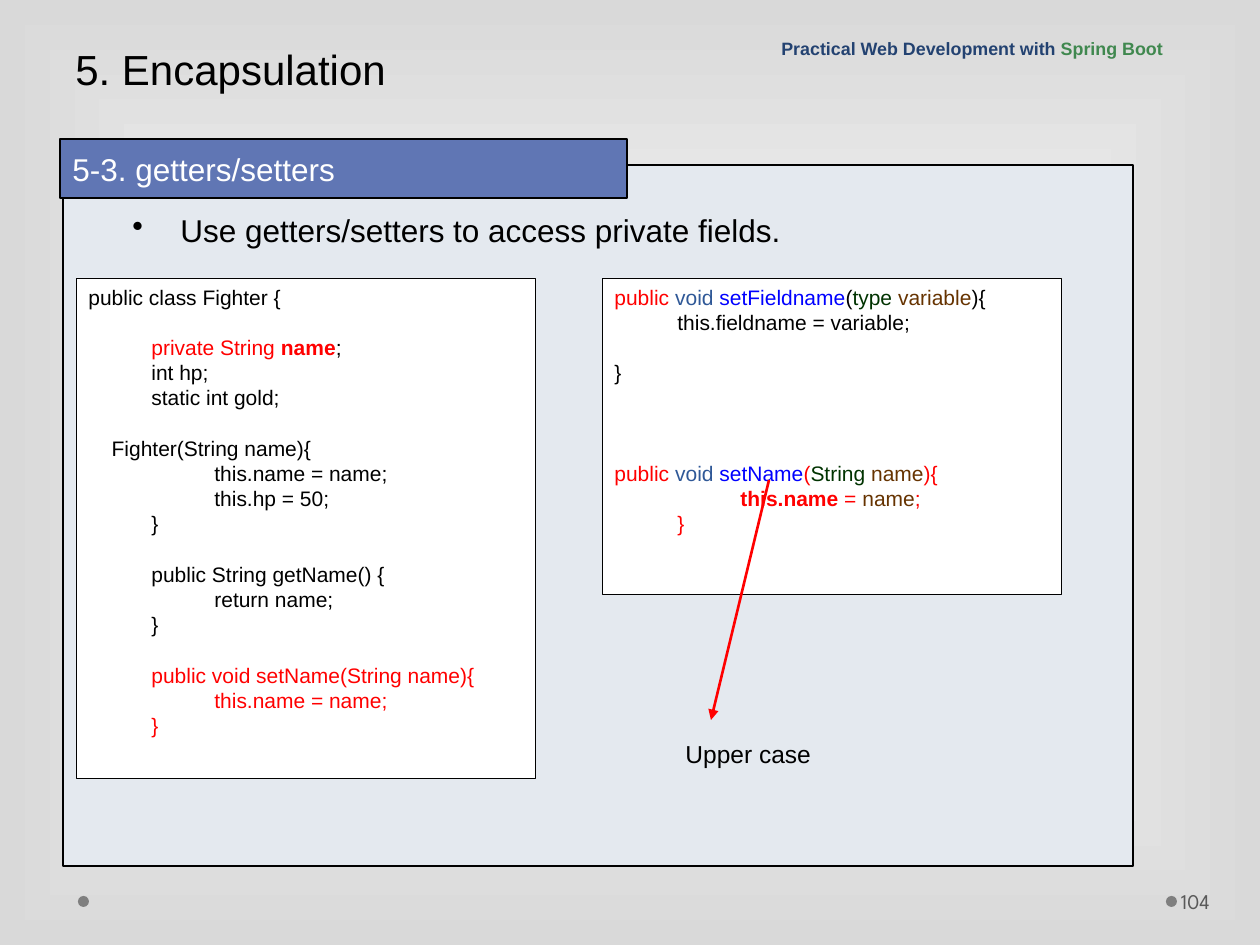
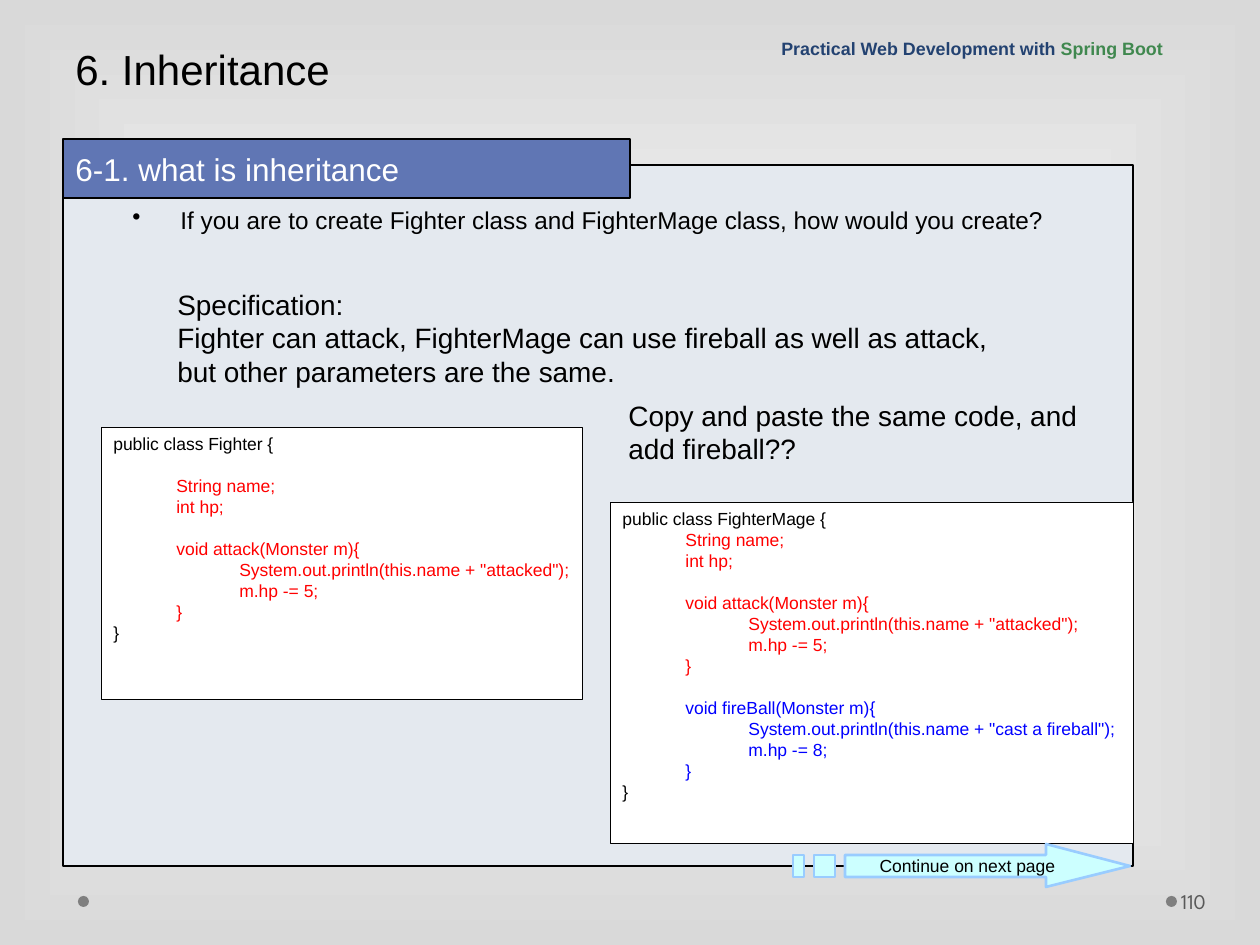
from lxml import etree
from pptx import Presentation
from pptx.dml.color import RGBColor
from pptx.enum.shapes import MSO_CONNECTOR, MSO_SHAPE
from pptx.enum.text import MSO_ANCHOR, PP_ALIGN
from pptx.oxml.ns import qn
from pptx.util import Pt

RECT, OVAL = MSO_SHAPE.RECTANGLE, MSO_SHAPE.OVAL
LINE = MSO_CONNECTOR.STRAIGHT
TOP, MID, LOW = MSO_ANCHOR.TOP, MSO_ANCHOR.MIDDLE, MSO_ANCHOR.BOTTOM
LEFT, MID_H = PP_ALIGN.LEFT, PP_ALIGN.CENTER

PX = 914400 / 126  # EMU in one px
TAB = 63           # px between code tab stops
LEAD = 1.2         # line pitch over type size

THEME = {
    "font": "Arial", "num_font": "League Spartan",
    "ink": "000000", "white": "FFFFFF", "edge": "D9D9D9",
    "panel": "E4E9EF", "tab": "6076B4", "dot": "7F7F7F", "num": "595959",
    "navy": "234271", "green": "40884F",
    "red": "FF0000", "steel": "2F5897", "blue": "0000FF",
    "type": "003300", "var": "663300", "ice": "CCFFFF", "sky": "99CCFF",
    "title_pt": 24, "head_pt": 18, "note_pt": 16, "label_pt": 14,
    "num_pt": 12, "brand_pt": 10.2, "small_pt": 10,
}

# Content: a line is a list of (colour, text) runs; "*" after a colour is bold,
# and an empty line is a gap.
BRAND = [("navy*", "Practical Web Development with "), ("green*", "Spring Boot")]


def tint(hue, *rows):
    return [[(hue, row)] if row else [] for row in rows]


ATTACK = tint("red", "\tString name;", "\tint hp;", "", "\tvoid attack(Monster m){",
              '\t\tSystem.out.println(this.name + "attacked");',
              "\t\tm.hp -= 5;", "\t}")
CLOSE = tint("ink", "}")

SLIDES = [
    {
        "title": "5. Encapsulation", "num": "104",
        "tab": "5-3. getters/setters", "tab_x": 60,
        "point": "Use getters/setters to access private fields.",
        "point_pt": 18, "point_lead": 1.0,
        "code": [
            ((76, 278, 459, 500), 12,
             tint("ink", "public class Fighter {", "")
             + [[("red", "\tprivate String "), ("red*", "name"), ("ink", ";")]]
             + tint("ink", "\tint hp;", "\tstatic int gold;", "",
                    "    Fighter(String name){", "\t\tthis.name = name;",
                    "\t\tthis.hp = 50;", "\t}", "",
                    "\tpublic String getName() {", "\t\treturn name;", "\t}", "")
             + tint("red", "\tpublic void setName(String name){",
                    "\t\tthis.name = name;", "\t}")),
            ((602, 278, 459, 316), 12,
             [[("red", "public "), ("steel", "void "), ("blue", "setFieldname"),
               ("ink", "("), ("type", "type "), ("var", "variable"), ("ink", "){")]]
             + tint("ink", "\tthis.fieldname = variable;", "", "}", "", "", "")
             + [[("red", "public "), ("steel", "void "), ("blue", "setName"),
                 ("red", "("), ("type", "String "), ("var", "name"), ("red", "){")],
                [("red*", "\t\tthis.name"), ("red", " = "), ("var", "name"),
                 ("red", ";")],
                [("red", "\t}")]]),
        ],
        "notes": [((673, 733, 170, 43), "label_pt", tint("ink", "Upper case"))],
        "arrow": (769, 480, 711, 720),
    },
    {
        "title": "6. Inheritance", "num": "110",
        "tab": "6-1. what is inheritance", "tab_x": 63,
        "point": "If you are to create Fighter class and FighterMage class, "
                 "how would you create?",
        "point_pt": 13.9, "point_lead": 0.8,
        "code": [
            ((101, 427, 481, 272), 10,
             tint("ink", "public class Fighter {", "") + ATTACK + CLOSE),
            ((610, 502, 523, 341), 10,
             tint("ink", "public class FighterMage {") + ATTACK
             + tint("blue", "", "\tvoid fireBall(Monster m){",
                    '\t\tSystem.out.println(this.name + "cast a fireball");',
                    "\t\tm.hp -= 8;", "\t}") + CLOSE),
        ],
        "notes": [
            ((165, 281, 852, 113), "note_pt",
             tint("ink", "Specification:",
                  "Fighter can attack, FighterMage can use fireball as well as "
                  "attack, but other parameters are the same.")),
            ((616, 392, 474, 81), "note_pt",
             tint("ink", "Copy and paste the same code, and add fireball??")),
        ],
        "next": "Continue on next page",
    },
]


# Helpers
def px(*vals):
    return [round(v * PX) for v in vals]


def rgb(name):
    return RGBColor.from_string(THEME[name])


def paint(shape, fill, line=None, width=0.75):
    shape.shadow.inherit = False
    shape.fill.solid()
    shape.fill.fore_color.rgb = rgb(fill)
    if line:
        shape.line.color.rgb = rgb(line)
        shape.line.width = Pt(width)
    else:
        shape.line.fill.background()


def block(slide, box, fill, line=None, width=0.75, kind=RECT):
    shape = slide.shapes.add_shape(kind, *px(*box))
    paint(shape, fill, line, width)
    return shape


def label(slide, box):
    return slide.shapes.add_textbox(*px(*box))


def add_tabs(para):
    stops = etree.SubElement(para._p.get_or_add_pPr(), qn("a:tabLst"))
    for i in range(1, 8):
        etree.SubElement(stops, qn("a:tab"), pos=str(round(i * TAB * PX)), algn="l")


def write(shape, lines, size, anchor=TOP, font="font", align=LEFT):
    frame = shape.text_frame
    frame.word_wrap = True
    frame.vertical_anchor = anchor
    pitch = size * LEAD
    para, gap = None, 0
    for line in lines:
        if not line:
            gap += pitch
            continue
        para = frame.add_paragraph() if para else frame.paragraphs[0]
        para.alignment = align
        if len(lines) > 1:
            para.line_spacing = Pt(pitch)
        if gap:
            para.space_before = Pt(gap)
            gap = 0
        if any("\t" in text for _, text in line):
            add_tabs(para)
        for hue, text in line:
            run = para.add_run()
            run.text = text
            run.font.name = THEME[font]
            run.font.size = Pt(size)
            run.font.bold = hue.endswith("*")
            run.font.color.rgb = rgb(hue.rstrip("*"))
    return frame


# Shared parts
def backdrop(master):
    fill = master.background.fill
    fill.gradient()
    for stop, hue, spot in zip(fill.gradient_stops, ("white", "edge"), (0, 1)):
        stop.color.rgb = rgb(hue)
        stop.position = spot
    grad = master.background._cSld.find(".//" + qn("a:gradFill"))
    shade = etree.Element(qn("a:path"), path="rect")
    etree.SubElement(shade, qn("a:fillToRect"),
                     {side: "50000" for side in "ltrb"})
    grad.replace(grad.find(qn("a:lin")), shade)


def base(slide, data):
    for x in (1166, 78):
        block(slide, (x, 896, 11, 11), "dot", kind=OVAL)
    block(slide, (63, 165, 1070, 701), "panel", "ink")
    num = write(label(slide, (1177, 876, 77, 50)), tint("num", data["num"]),
                THEME["num_pt"], MID, "num_font")
    num.margin_left = px(4)[0]
    write(label(slide, (63, 0, 1134, 100)), tint("ink", data["title"]),
          THEME["title_pt"], LOW)
    write(block(slide, (data["tab_x"], 139, 567, 59), "tab", "ink"),
          tint("white", data["tab"]), THEME["head_pt"], MID)
    write(label(slide, (769, 30, 491, 35)), [BRAND], THEME["brand_pt"], LOW)


def bullet(slide, data):
    shape = label(slide, (120, 205, 940, 72))
    para = shape.text_frame.paragraphs[0]
    para.line_spacing = data["point_lead"]
    props = para._p.get_or_add_pPr()
    props.set("marL", str(px(48)[0]))
    props.set("indent", str(px(-48)[0]))
    hue = etree.SubElement(props, qn("a:buClr"))
    etree.SubElement(hue, qn("a:srgbClr"), val=THEME["ink"])
    etree.SubElement(props, qn("a:buChar"), char="•")
    write(shape, tint("ink", data["point"]), data["point_pt"])


# Parts of single slides
def pointer(slide, ends):
    line = slide.shapes.add_connector(LINE, *px(*ends))
    line.line.color.rgb = rgb("red")
    line.line.width = Pt(1.5)
    etree.SubElement(line.line._get_or_add_ln(), qn("a:tailEnd"), type="triangle")
    etree.SubElement(line._element.spPr, qn("a:effectLst"))


def next_sign(slide, text):
    high, low = 855, 877
    arrow = [(1046, 844), (1046, high), (845, high), (845, low),
             (1046, low), (1046, 887), (1130, 866)]
    bars = [[(a, high), (a, low), (b, low), (b, high)]
            for a, b in ((814, 835), (793, 804))]
    pen = slide.shapes.build_freeform(*arrow[0], scale=PX)
    pen.add_line_segments(arrow[1:], close=True)
    for bar in bars:
        pen.move_to(*bar[0])
        pen.add_line_segments(bar[1:], close=True)
    sign = pen.convert_to_shape()
    paint(sign, "ice", "sky", 1.5)
    frame = write(sign, tint("ink", text), THEME["small_pt"], MID, align=MID_H)
    frame.margin_left = px(24)[0]
    frame.word_wrap = False


def main():
    prs = Presentation()
    prs.slide_width, prs.slide_height = px(1260, 945)
    backdrop(prs.slide_master)
    for data in SLIDES:
        slide = prs.slides.add_slide(prs.slide_layouts[6])
        base(slide, data)
        bullet(slide, data)
        for box, size, lines in data["code"]:
            frame = write(block(slide, box, "white", "ink", 0.25), lines, size)
            frame.margin_right = 0
        for box, size, lines in data["notes"]:
            write(label(slide, box), lines, THEME[size])
        if "arrow" in data:
            pointer(slide, data["arrow"])
        if "next" in data:
            next_sign(slide, data["next"])
    prs.save("out.pptx")


if __name__ == "__main__":
    main()
